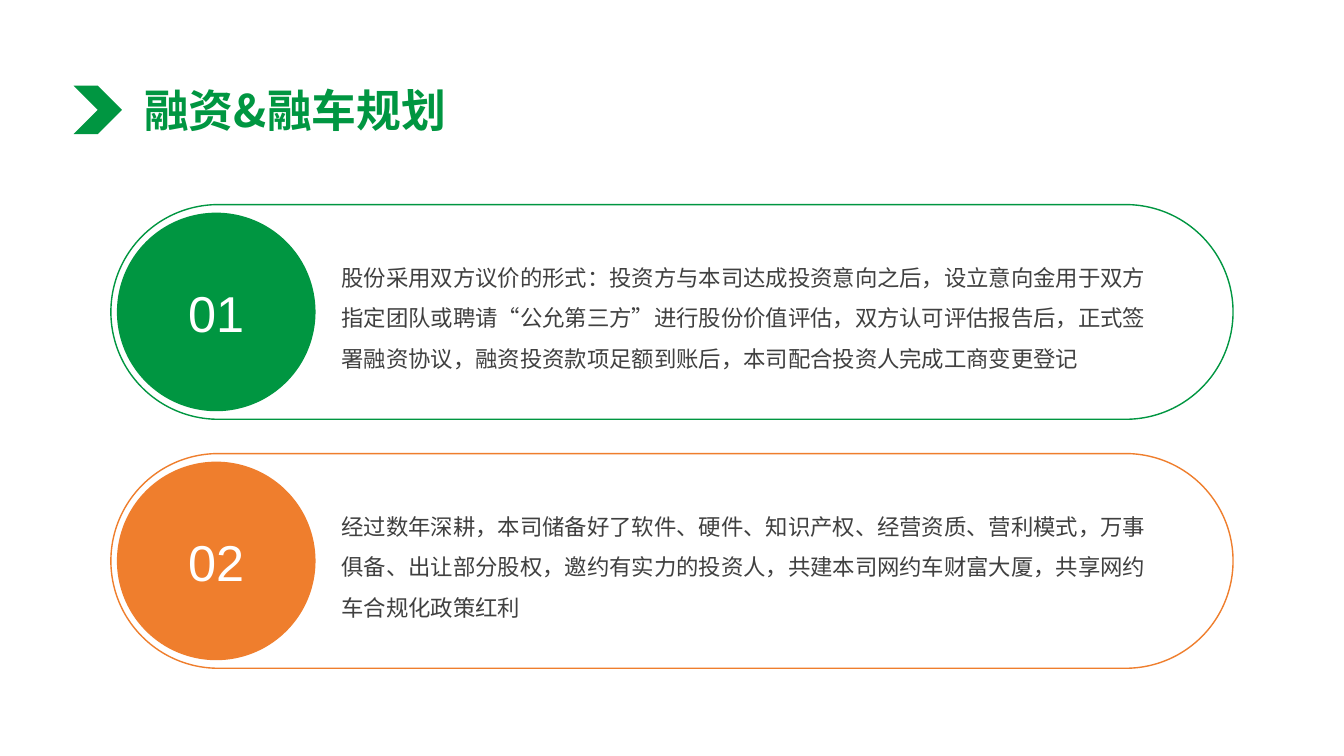
from pptx import Presentation
from pptx.dml.color import RGBColor
from pptx.enum.lang import MSO_LANGUAGE_ID
from pptx.enum.shapes import MSO_SHAPE
from pptx.enum.text import MSO_ANCHOR, MSO_AUTO_SIZE, PP_ALIGN
from pptx.oxml.ns import qn
from pptx.util import Inches, Pt
from lxml import etree

GREEN = RGBColor(0x00, 0x96, 0x41)
ORANGE = RGBColor(0xEF, 0x7E, 0x2D)
GRAY = RGBColor(0x40, 0x40, 0x40)
WHITE = RGBColor(0xFF, 0xFF, 0xFF)
CJK_FONT = "Noto Sans CJK SC"

TITLE = "融资&融车规划"
PLANS = [
    ("01", GREEN, "股份采用双方议价的形式：投资方与本司达成投资意向之后，设立意向金用于双方"
     "指定团队或聘请“公允第三方”进行股份价值评估，双方认可评估报告后，正式签"
     "署融资协议，融资投资款项足额到账后，本司配合投资人完成工商变更登记"),
    ("02", ORANGE, "经过数年深耕，本司储备好了软件、硬件、知识产权、经营资质、营利模式，万事"
     "俱备、出让部分股权，邀约有实力的投资人，共建本司网约车财富大厦，共享网约"
     "车合规化政策红利"),
]


def format_text(p, size, color, font, bold=False):
    for r in p.runs:
        r.font.size = Pt(size)
        r.font.bold = bold
        r.font.color.rgb = color
        r.font.name = font
        r.font.language_id = MSO_LANGUAGE_ID.SIMPLIFIED_CHINESE
        ea = etree.SubElement(r.font._element, qn("a:ea"))
        ea.set("typeface", font)


def add_plain_shape(slide, kind, left, top, width, height, fill=None, line=None):
    sp = slide.shapes.add_shape(kind, Inches(left), Inches(top),
                                Inches(width), Inches(height))
    sp.shadow.inherit = False
    if fill is None:
        sp.fill.background()
    else:
        sp.fill.solid()
        sp.fill.fore_color.rgb = fill
    if line is None:
        sp.line.fill.background()
    else:
        sp.line.color.rgb = line
        sp.line.width = Pt(1)
    return sp


def add_heading(slide, left, top, width, height):
    # Chevron marker
    marker = 0.48
    add_plain_shape(slide, MSO_SHAPE.CHEVRON, left, top + 0.08, marker, marker, GREEN)
    # Title
    title = slide.shapes.title
    title.left, title.top = Inches(left + 0.6), Inches(top)
    title.width, title.height = Inches(width - 0.6), Inches(height)
    tf = title.text_frame
    tf.text = TITLE
    tf.auto_size = MSO_AUTO_SIZE.NONE
    tf.vertical_anchor = MSO_ANCHOR.TOP
    p = tf.paragraphs[0]
    p.alignment = PP_ALIGN.LEFT
    format_text(p, 32, GREEN, CJK_FONT, bold=True)


def add_plan(slide, left, top, width, height, number, color, text):
    # Pill outline
    pill = add_plain_shape(slide, MSO_SHAPE.ROUNDED_RECTANGLE,
                           left, top, width, height, line=color)
    pill.adjustments[0] = 0.5
    # Numbered disc
    gap = 0.08
    size = height - 2 * gap
    disc = add_plain_shape(slide, MSO_SHAPE.OVAL, left + 0.06, top + gap, size, size, color)
    tf = disc.text_frame
    tf.text = number
    tf.vertical_anchor = MSO_ANCHOR.MIDDLE
    p = tf.paragraphs[0]
    p.alignment = PP_ALIGN.CENTER
    format_text(p, 36, WHITE, "Arial")
    # Description
    box = slide.shapes.add_textbox(Inches(left + 2.19), Inches(top + 0.41),
                                   Inches(8.22), Inches(1.27))
    tf = box.text_frame
    tf.word_wrap = True
    tf.text = text
    p = tf.paragraphs[0]
    p.line_spacing = 1.5
    format_text(p, 16, GRAY, CJK_FONT)


def main():
    prs = Presentation()
    prs.slide_width, prs.slide_height = Inches(13.33), Inches(7.5)
    slide = prs.slides.add_slide(prs.slide_layouts[5])
    add_heading(slide, 0.73, 0.77, 9.52, 0.64)
    for i, plan in enumerate(PLANS):
        add_plan(slide, 1.1, 2.03 + i * 2.47, 11.13, 2.13, *plan)
    prs.save("out.pptx")


if __name__ == "__main__":
    main()
